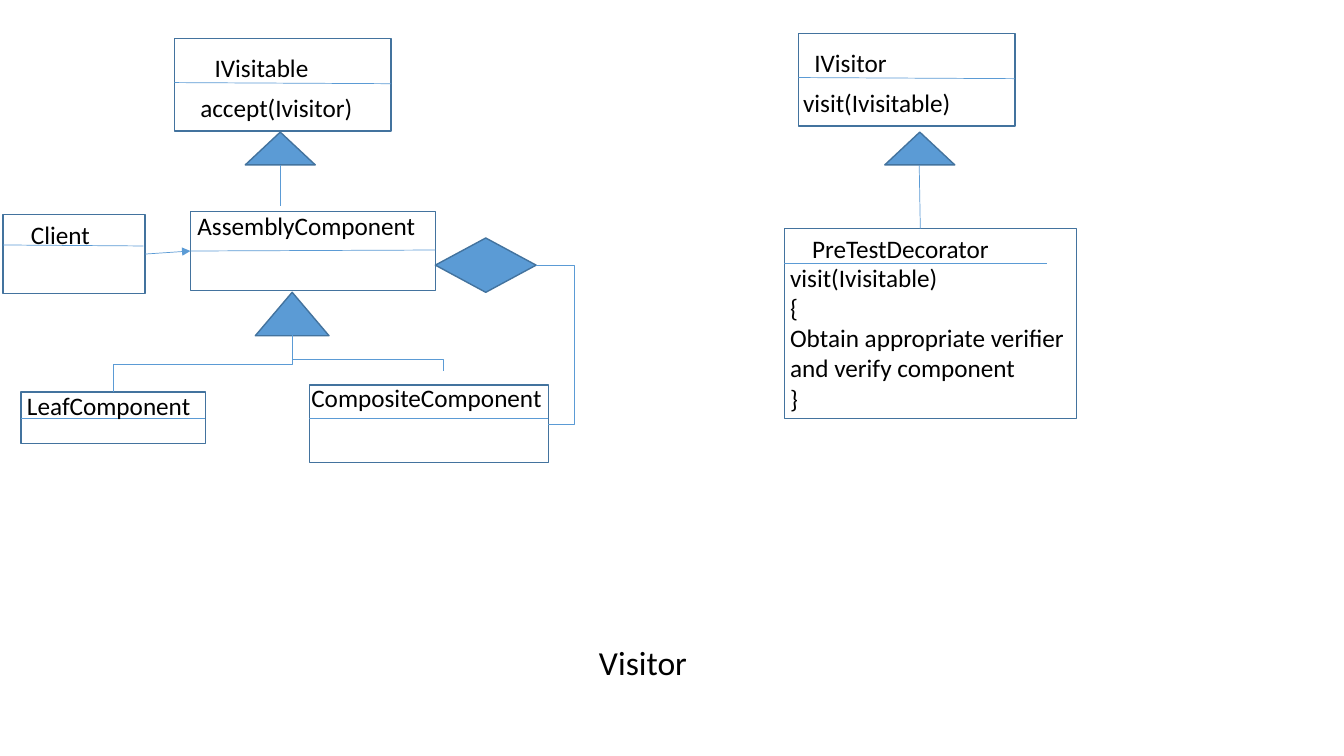
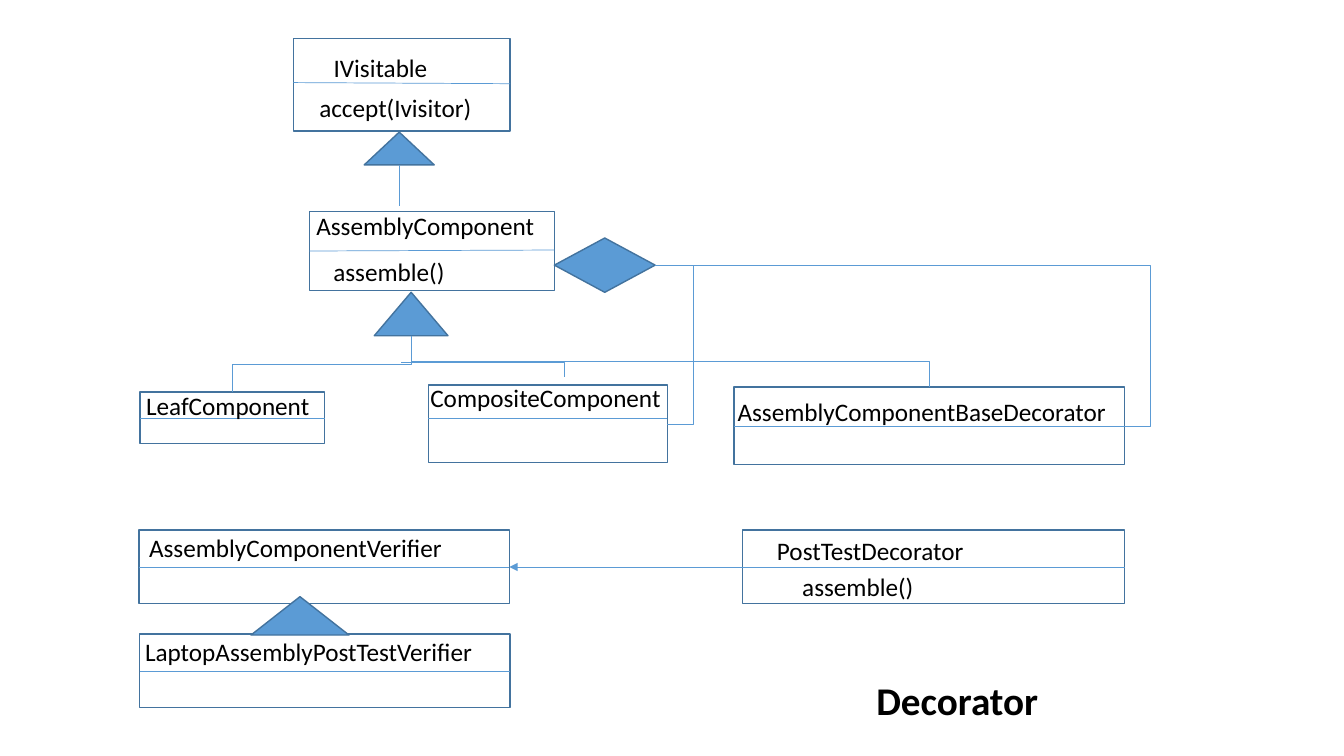
from dataclasses import dataclass
from typing import Optional

from lxml import etree
from pptx import Presentation
from pptx import util as u
from pptx.dml.color import RGBColor
from pptx.enum import shapes, text
from pptx.oxml import ns


@dataclass(frozen=True)
class Theme:
    fill: RGBColor = RGBColor(0x5B, 0x9B, 0xD5)
    outline: RGBColor = RGBColor(0x43, 0x73, 0x9E)
    ink: RGBColor = RGBColor(0, 0, 0)
    font: str = "Calibri"
    label_size: float = 18
    outline_width: float = 1
    connector_width: float = 0.5


THEME = Theme()
TITLE_ONLY = 5
LABEL_HEIGHT = 29
FAMILY_SHIFT = 85


@dataclass(frozen=True)
class Label:
    content: str
    left: float
    top: float
    width: float
    height: float = LABEL_HEIGHT


@dataclass(frozen=True)
class ClassBox:
    left: float
    top: float
    width: float
    height: float
    divider: tuple[float, float]
    labels: tuple[Label, ...]
    divider_right: Optional[float] = None


ASSEMBLY = ClassBox(136, 151.2, 175, 56.2, (179.3, 178.6),
                    (Label("AssemblyComponent", 133.9, 146.9, 175),))
COMPOSITE = ClassBox(221, 275, 170.8, 55.4, (298.8, 298.8),
                     (Label("CompositeComponent", 215.3, 269.3, 206),))
LEAF = ClassBox(15, 280, 131.8, 36.7, (298.8, 298.8),
                (Label("LeafComponent", 12.2, 275, 140),))
VISITABLE = ClassBox(124.6, 27.4, 154.8, 66.2, (59, 59.8),
                     (Label("IVisitable", 146.2, 33.8, 144),
                      Label("accept(Ivisitor)", 136, 62.6, 138)))
VISITOR = ClassBox(570.2, 23.8, 154.8, 66.2, (55.4, 56.2),
                   (Label("IVisitor", 574.6, 30.2, 144),
                    Label("visit(Ivisitable)", 566.6, 59, 138)))
PRE_TEST = ClassBox(560.2, 163.4, 208.8, 135.4, (188, 188),
                    (Label("PreTestDecorator", 573, 163.4, 170),
                     Label("visit(Ivisitable)\n{\nObtain appropriate verifier and verify component\n}",
                           557.3, 183.6, 219, 138)),
                    divider_right=748)
CLIENT = ClassBox(2.2, 153.4, 101.5, 56.2, (175, 175.7),
                  (Label("Client", 15, 153.4, 83),), divider_right=102.4)
BASE_DECORATOR = ClassBox(524.4, 276.5, 279, 55.4, (304.4, 304.4),
                          (Label("AssemblyComponentBaseDecorator", 519.8, 279.4, 340),))
POST_TEST = ClassBox(530.6, 378.7, 272.8, 52.6, (405, 405),
                     (Label("PostTestDecorator", 547.9, 378.7, 228),
                      Label("assemble()", 565.9, 404.6, 151)))
VERIFIER = ClassBox(99.4, 378.7, 264.4, 52.6, (405, 405),
                    (Label("AssemblyComponentVerifier", 99.4, 376.6, 247),))
LAPTOP_VERIFIER = ClassBox(99.8, 453, 264.4, 52.6, (479.3, 479.3),
                           (Label("LaptopAssemblyPostTestVerifier", 96.5, 450.7, 264),))


def write_text(frame, content: str, *, size: float = THEME.label_size, bold: bool = False,
               align=text.PP_ALIGN.LEFT) -> None:
    frame.word_wrap = True
    frame.auto_size = text.MSO_AUTO_SIZE.NONE
    frame.vertical_anchor = text.MSO_ANCHOR.TOP
    frame.text = content
    for paragraph in frame.paragraphs:
        paragraph.alignment = align
        font = paragraph.font
        font.name, font.size, font.bold = THEME.font, u.Pt(size), bold
        font.color.rgb = THEME.ink


def set_title(slide, content: str, left: float, top: float, width: float, height: float,
              **text_format) -> None:
    title = slide.shapes.title
    title.left, title.top, title.width, title.height = map(u.Pt, (left, top, width, height))
    write_text(title.text_frame, content, align=text.PP_ALIGN.CENTER, **text_format)


@dataclass
class Canvas:
    slide: object
    shift: float = 0

    def label(self, label: Label) -> None:
        shape = self.slide.shapes.add_textbox(u.Pt(label.left + self.shift), u.Pt(label.top),
                                              u.Pt(label.width), u.Pt(label.height))
        write_text(shape.text_frame, label.content)

    def shape(self, kind, left: float, top: float, width: float, height: float,
              filled: bool = True):
        shape = self.slide.shapes.add_shape(kind, u.Pt(left + self.shift), u.Pt(top),
                                            u.Pt(width), u.Pt(height))
        shape.shadow.inherit = False
        if filled:
            shape.fill.solid()
            shape.fill.fore_color.rgb = THEME.fill
        else:
            shape.fill.background()
        shape.line.color.rgb = THEME.outline
        shape.line.width = u.Pt(THEME.outline_width)
        return shape

    def triangle(self, left: float, top: float, width: float, height: float) -> None:
        self.shape(shapes.MSO_SHAPE.ISOSCELES_TRIANGLE, left, top, width, height)

    def connector(self, x1: float, y1: float, x2: float, y2: float,
                  kind=shapes.MSO_CONNECTOR.STRAIGHT):
        connector = self.slide.shapes.add_connector(
            kind, u.Pt(x1 + self.shift), u.Pt(y1), u.Pt(x2 + self.shift), u.Pt(y2))
        connector.line.color.rgb = THEME.fill
        connector.line.width = u.Pt(THEME.connector_width)
        etree.SubElement(connector._element.spPr, ns.qn("a:effectLst"))
        return connector

    def elbow(self, x1: float, y1: float, x2: float, y2: float,
              bend: Optional[float] = None) -> None:
        connector = self.connector(x1, y1, x2, y2, shapes.MSO_CONNECTOR.ELBOW)
        geometry = connector._element.spPr.find(ns.qn("a:prstGeom"))
        if bend is None:
            geometry.set("prst", "bentConnector2")
        else:
            set_bend(geometry, (bend - x1) / (x2 - x1))

    def drop(self, x1: float, y1: float, x2: float, y2: float, bend: float) -> None:
        center_x, center_y = (x1 + x2) / 2, (y1 + y2) / 2
        half_fall, half_span = (y2 - y1) / 2, abs(x2 - x1) / 2
        direction, rotation = (1, 90) if x2 < x1 else (-1, 270)
        connector = self.connector(center_x - direction * half_fall, center_y - half_span,
                                   center_x + direction * half_fall, center_y + half_span,
                                   shapes.MSO_CONNECTOR.ELBOW)
        properties = connector._element.spPr
        properties.find(ns.qn("a:xfrm")).set("rot", str(rotation * 60000))
        set_bend(properties.find(ns.qn("a:prstGeom")), (bend - y1) / (y2 - y1))

    def arrow(self, source, target, source_side: int, target_side: int) -> None:
        connector = self.connector(0, 0, 1, 1)
        connector.begin_connect(source, source_side)
        connector.end_connect(target, target_side)
        line = connector._element.spPr.find(ns.qn("a:ln"))
        etree.SubElement(line, ns.qn("a:tailEnd"), type="triangle")

    def class_box(self, box: ClassBox):
        shape = self.shape(shapes.MSO_SHAPE.RECTANGLE, box.left, box.top, box.width,
                           box.height, filled=False)
        right = box.divider_right or box.left + box.width
        self.connector(box.left, box.divider[0], right, box.divider[1])
        for label in box.labels:
            self.label(label)
        return shape


def set_bend(geometry, ratio: float) -> None:
    guides = geometry.find(ns.qn("a:avLst"))
    etree.SubElement(guides, ns.qn("a:gd"), name="adj1", fmla=f"val {round(ratio * 100000)}")


def draw_component_family(canvas: Canvas):
    assembly = canvas.class_box(ASSEMBLY)
    for box in (COMPOSITE, LEAF, VISITABLE):
        canvas.class_box(box)
    canvas.triangle(182.4, 208.8, 52.6, 31)
    canvas.drop(208.8, 239.8, 80.8, 280, bend=260)
    canvas.shape(shapes.MSO_SHAPE.DIAMOND, 311, 170, 72, 38.8)
    canvas.elbow(383, 189.4, 391.8, 303, bend=410.4)
    canvas.triangle(175.2, 94.4, 50, 23.4)
    canvas.connector(200.2, 118, 200.2, 147)
    return assembly


def draw_visitor(slide) -> None:
    canvas = Canvas(slide)
    assembly = draw_component_family(canvas)
    canvas.drop(208.8, 216, 316.8, 265, bend=256.4)
    canvas.class_box(VISITOR)
    canvas.class_box(PRE_TEST)
    canvas.triangle(632, 94.4, 50, 23.4)
    canvas.connector(656.6, 118, 657.4, 163.4)
    client = canvas.class_box(CLIENT)
    canvas.arrow(client, assembly, 3, 1)
    set_title(slide, "Visitor", 224.6, 455, 469.4, 36, size=24)


def draw_decorator(slide) -> None:
    draw_component_family(Canvas(slide, FAMILY_SHIFT))
    canvas = Canvas(slide)
    canvas.elbow(286.6, 258.5, 403.2, 269.3)
    canvas.class_box(BASE_DECORATOR)
    canvas.drop(293.8, 239.8, 663.8, 276.5, bend=258.2)
    canvas.elbow(468, 189.4, 803.4, 304.4, bend=821.5)
    canvas.label(Label("assemble()", 231, 179.3, 151))
    post_test = canvas.class_box(POST_TEST)
    verifier = canvas.class_box(VERIFIER)
    canvas.class_box(LAPTOP_VERIFIER)
    canvas.triangle(179.3, 426.2, 70, 27.4)
    canvas.arrow(post_test, verifier, 1, 3)
    set_title(slide, "Decorator", 441.4, 479.5, 484.6, 41, size=28, bold=True)


def main() -> None:
    presentation = Presentation()
    presentation.slide_width, presentation.slide_height = u.Pt(960), u.Pt(540)
    for draw in (draw_visitor, draw_decorator):
        draw(presentation.slides.add_slide(presentation.slide_layouts[TITLE_ONLY]))
    presentation.save("out.pptx")


if __name__ == "__main__":
    main()
